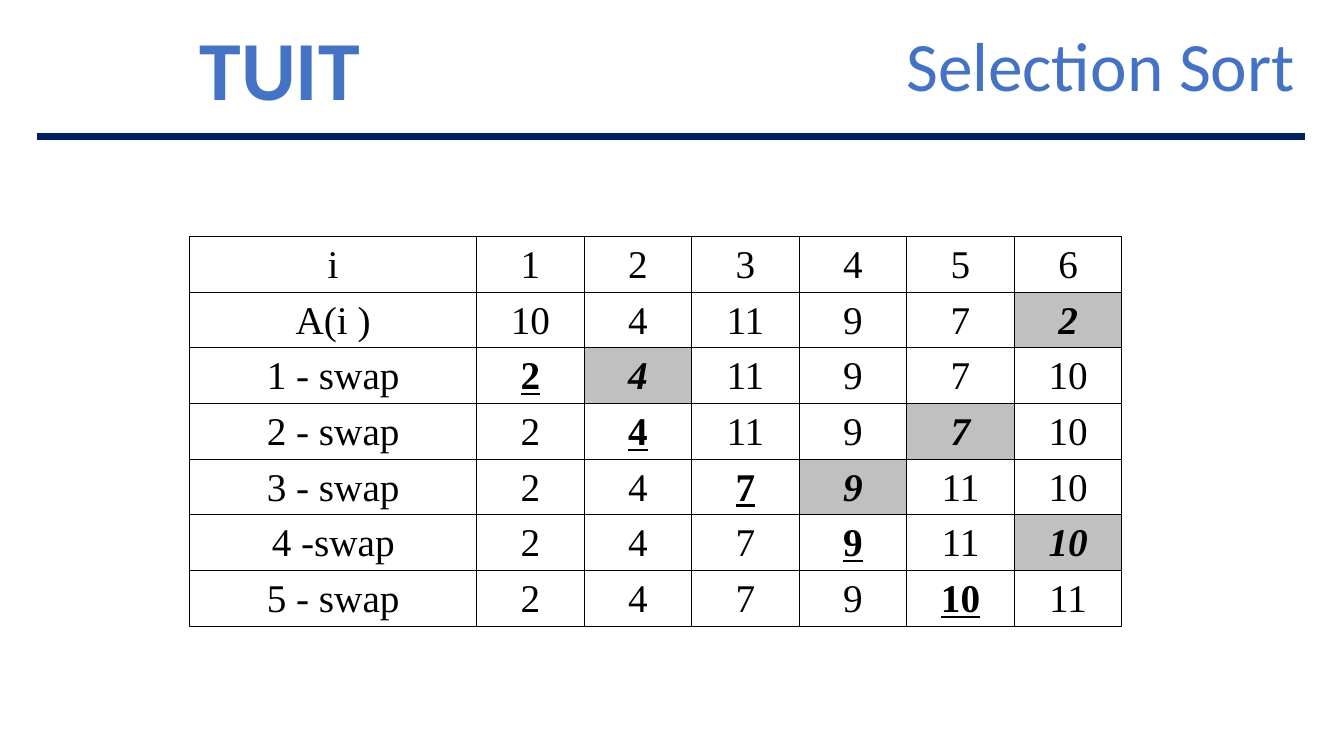
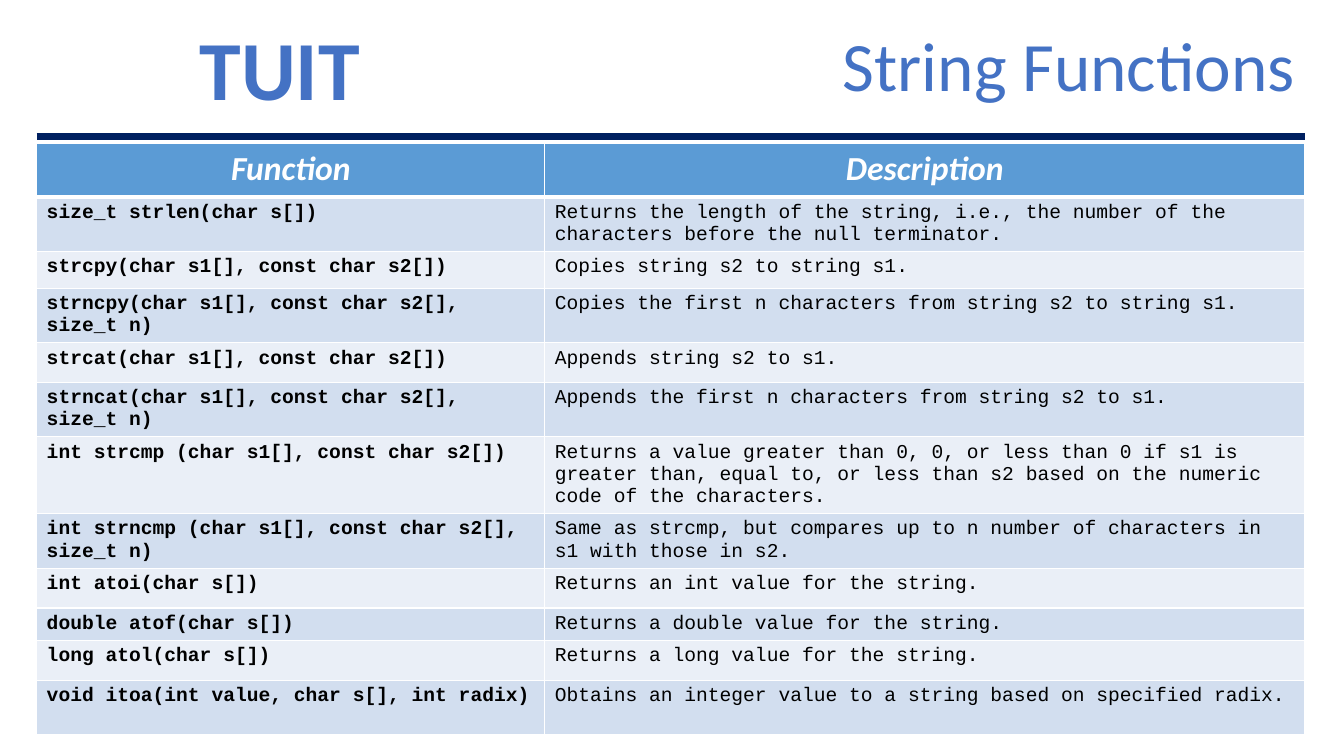
import pptx
import pptx.dml.color
import pptx.enum.shapes
import pptx.enum.text
import pptx.oxml.ns
import pptx.util
from lxml import etree

Pt = pptx.util.Pt
ALIGN = pptx.enum.text.PP_ALIGN
ANCHOR = pptx.enum.text.MSO_ANCHOR
qn = pptx.oxml.ns.qn

BLUE = "4472C4"
NAVY = "002060"
BLACK = "000000"
WHITE = "FFFFFF"
GREY = "C0C0C0"
HEADER_BLUE = "5B9BD5"
BANDS = ["EAEFF7", "D2DEEF"]
LEFT, RIGHT = 26.2, 932


def color(value):
    return pptx.dml.color.RGBColor.from_string(value)


def set_text(text_frame, text, font_name, size, text_color, alignment=ALIGN.LEFT,
             bold=False, italic=False, underline=False):
    text_frame.text = text
    paragraph = text_frame.paragraphs[0]
    paragraph.alignment = alignment
    font = paragraph.runs[0].font
    font.name, font.size = font_name, Pt(size)
    font.bold, font.italic, font.underline = bold, italic, underline
    font.color.rgb = color(text_color)


presentation = pptx.Presentation()
presentation.slide_width = Pt(960)
presentation.slide_height = Pt(540)

slides = []
for title_text in ["Selection Sort", "String Functions"]:
    slide = presentation.slides.add_slide(presentation.slide_layouts[5])
    slides.append(slide)

    title = slide.shapes.title
    title.left, title.top, title.width, title.height = Pt(290), Pt(23.5), Pt(RIGHT - 290), Pt(54)
    title.text_frame.vertical_anchor = ANCHOR.BOTTOM
    label = slide.shapes.add_textbox(Pt(135.5), Pt(19), Pt(139), Pt(58))

    for shape, text, size, bold, spacing, alignment in [
        (title, title_text, 49.5, False, 0.7, ALIGN.RIGHT),
        (label, "TUIT", 60, True, 0.85, ALIGN.JUSTIFY),
    ]:
        shape.text_frame.word_wrap = True
        shape.text_frame.auto_size = pptx.enum.text.MSO_AUTO_SIZE.NONE
        set_text(shape.text_frame, text, "Calibri", size, BLUE, alignment, bold=bold)
        shape.text_frame.paragraphs[0].line_spacing = spacing

    rule = slide.shapes.add_connector(
        pptx.enum.shapes.MSO_CONNECTOR.STRAIGHT, Pt(LEFT), Pt(97.5), Pt(RIGHT), Pt(97.5))
    rule.line.color.rgb = color(NAVY)
    rule.line.width = Pt(4.5)
    etree.SubElement(rule._element.spPr, qn("a:effectLst"))

sort_rows = [
    ("i", [1, 2, 3, 4, 5, 6]),
    ("A(i )", [10, 4, 11, 9, 7, 2]),
    ("1 - swap", [2, 4, 11, 9, 7, 10]),
    ("2 - swap", [2, 4, 11, 9, 7, 10]),
    ("3 - swap", [2, 4, 7, 9, 11, 10]),
    ("4 -swap", [2, 4, 7, 9, 11, 10]),
    ("5 - swap", [2, 4, 7, 9, 10, 11]),
]
grid_left, grid_top = 135.5, 169
label_width, value_width, row_height = 205, 76.8, 39.75
grid = slides[0].shapes.add_group_shape()
for row, (row_label, values) in enumerate(sort_rows):
    placed = row - 1
    smallest = 0
    if 0 < row < len(sort_rows) - 1:
        smallest = values.index(min(values[placed:])) + 1
    for column, text in enumerate([row_label] + values):
        is_placed = column > 0 and column == placed
        is_smallest = column > 0 and column == smallest
        left, width = grid_left, label_width
        if column > 0:
            left, width = grid_left + label_width + (column - 1) * value_width, value_width
        box = grid.shapes.add_shape(
            pptx.enum.shapes.MSO_SHAPE.RECTANGLE,
            Pt(left), Pt(grid_top + row * row_height), Pt(width), Pt(row_height))
        box.shadow.inherit = False
        box.fill.solid()
        box.fill.fore_color.rgb = color(GREY if is_smallest else WHITE)
        box.line.color.rgb = color(BLACK)
        box.line.width = Pt(0.75)
        frame = box.text_frame
        frame.word_wrap = True
        frame.vertical_anchor = ANCHOR.TOP
        frame.margin_left = frame.margin_right = frame.margin_bottom = 0
        frame.margin_top = Pt(2)
        set_text(frame, str(text), "Times New Roman", 28, BLACK, ALIGN.CENTER,
                 bold=is_placed or is_smallest, italic=is_smallest, underline=is_placed)

function_rows = [
    (38.2, "Function", "Description"),
    (39, "size_t strlen(char s[])",
     "Returns the length of the string, i.e., the number of the characters before the null terminator."),
    (26.2, "strcpy(char s1[], const char s2[])", "Copies string s2 to string s1."),
    (38.8, "strncpy(char s1[], const char s2[], size_t n)",
     "Copies the first n characters from string s2 to string s1."),
    (28.4, "strcat(char s1[], const char s2[])", "Appends string s2 to s1."),
    (38.8, "strncat(char s1[], const char s2[], size_t n)",
     "Appends the first n characters from string s2 to s1."),
    (54.8, "int strcmp (char s1[], const char s2[])",
     "Returns a value greater than 0, 0, or less than 0 if s1 is greater than, equal to, "
     "or less than s2 based on the numeric code of the characters."),
    (39, "int strncmp (char s1[], const char s2[], size_t n)",
     "Same as strcmp, but compares up to n number of characters in s1 with those in s2."),
    (28.5, "int atoi(char s[])", "Returns an int value for the string."),
    (23, "double atof(char s[])", "Returns a double value for the string."),
    (28.5, "long atol(char s[])", "Returns a long value for the string."),
    (38.5, "void itoa(int value, char s[], int radix)",
     "Obtains an integer value to a string based on specified radix."),
]
function_table = slides[1].shapes.add_table(
    len(function_rows), 2, Pt(LEFT), Pt(102.5), Pt(RIGHT - LEFT),
    Pt(sum(height for height, *_ in function_rows))).table
function_table.first_row = function_table.horz_banding = False
function_table.columns[0].width = Pt(363)
function_table.columns[1].width = Pt(RIGHT - LEFT - 363)
for row, (height, *texts) in enumerate(function_rows):
    function_table.rows[row].height = Pt(height)
    borders = {"L": 1, "R": 1, "T": 3 if row == 1 else 1, "B": 3 if row == 0 else 1}
    for column, text in enumerate(texts):
        cell = function_table.cell(row, column)
        if row == 0:
            set_text(cell.text_frame, text, "Calibri", 24, WHITE, ALIGN.CENTER,
                     bold=True, italic=True)
        else:
            set_text(cell.text_frame, text, "Courier New", 14, BLACK, bold=column == 0)
        properties = cell._tc.get_or_add_tcPr()
        for side, width in borders.items():
            line = etree.SubElement(properties, qn(f"a:ln{side}"), w=str(Pt(width)))
            solid = etree.SubElement(line, qn("a:solidFill"))
            etree.SubElement(solid, qn("a:srgbClr"), val=WHITE)
        cell.fill.solid()
        cell.fill.fore_color.rgb = color(HEADER_BLUE if row == 0 else BANDS[row % 2])

presentation.save("out.pptx")
